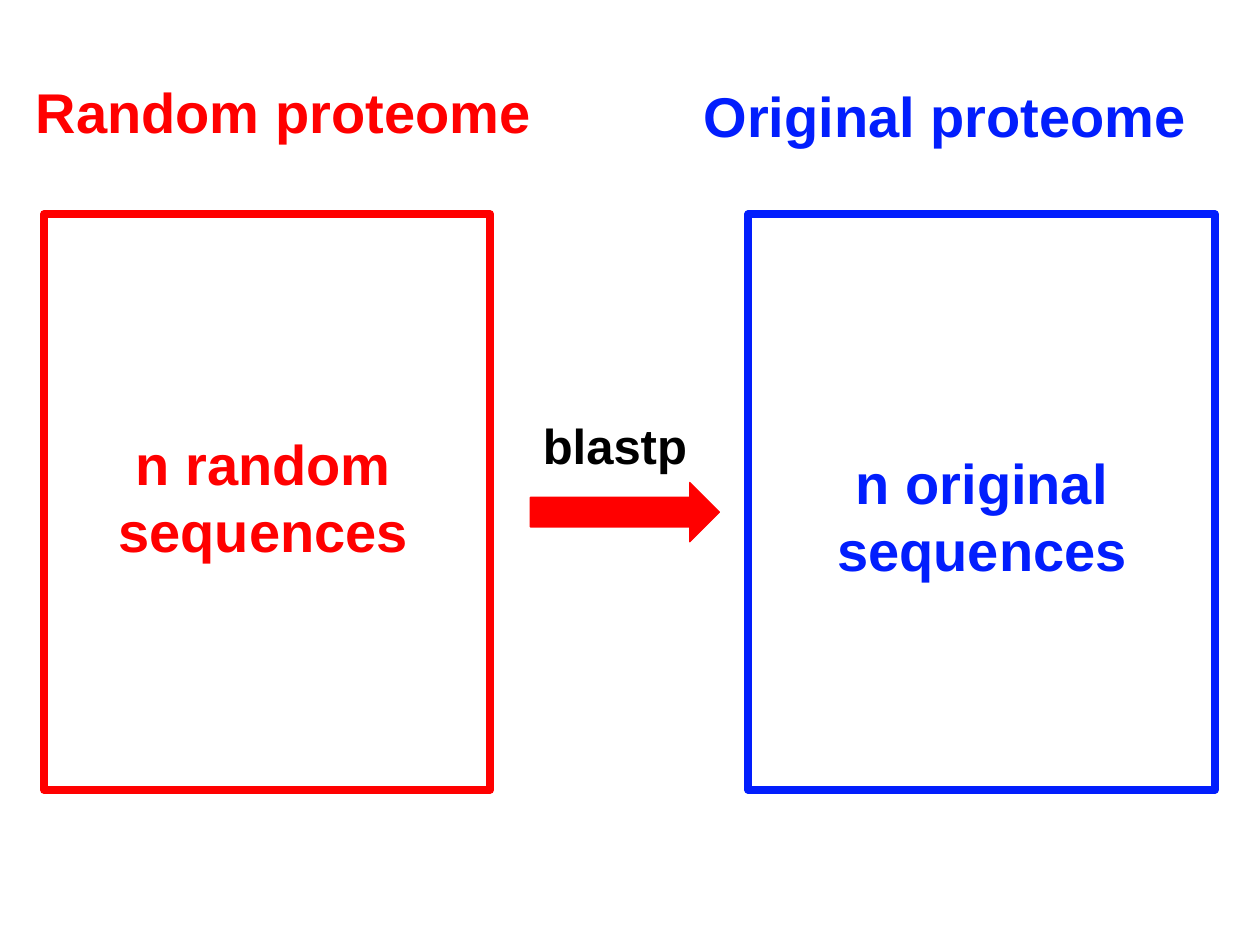
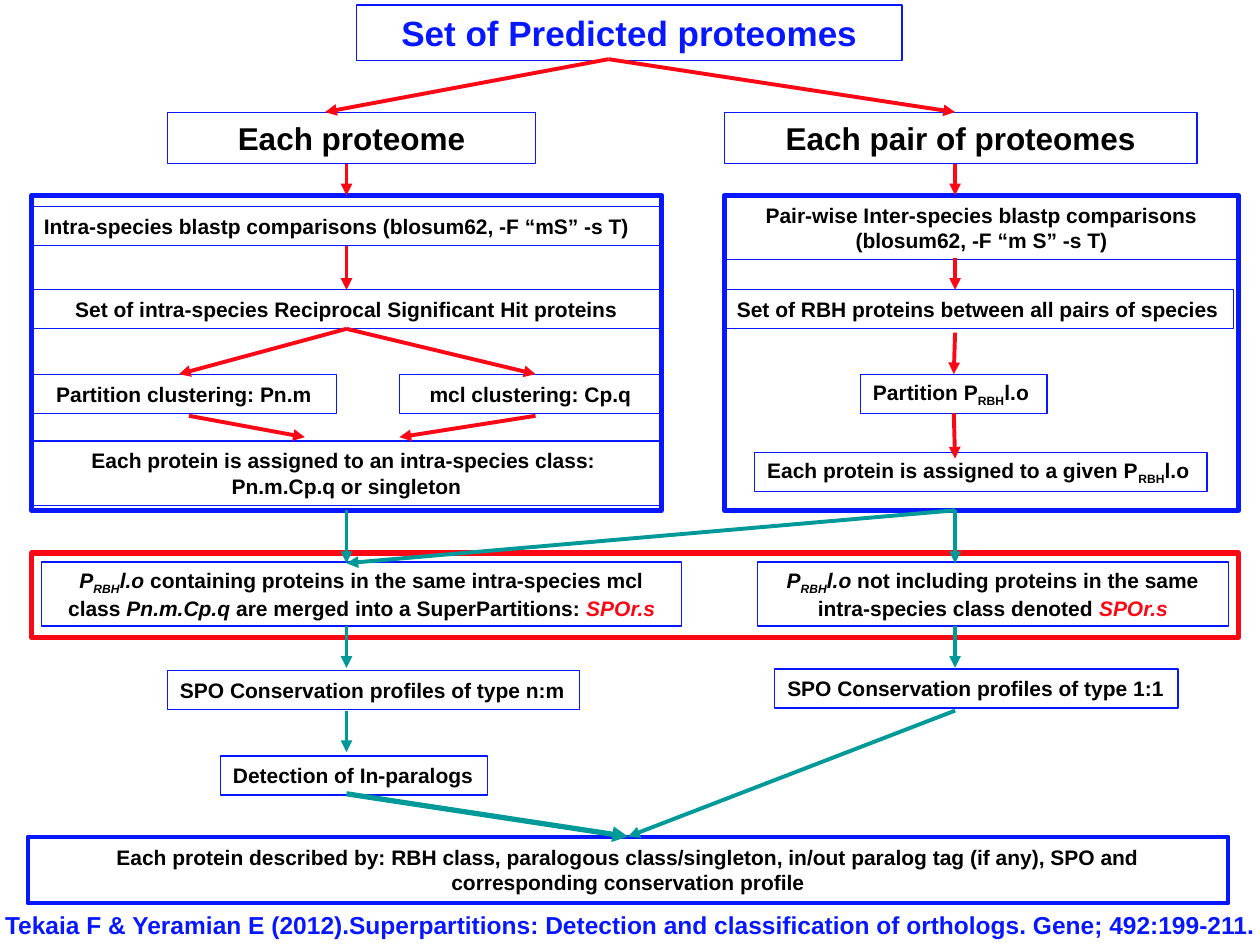
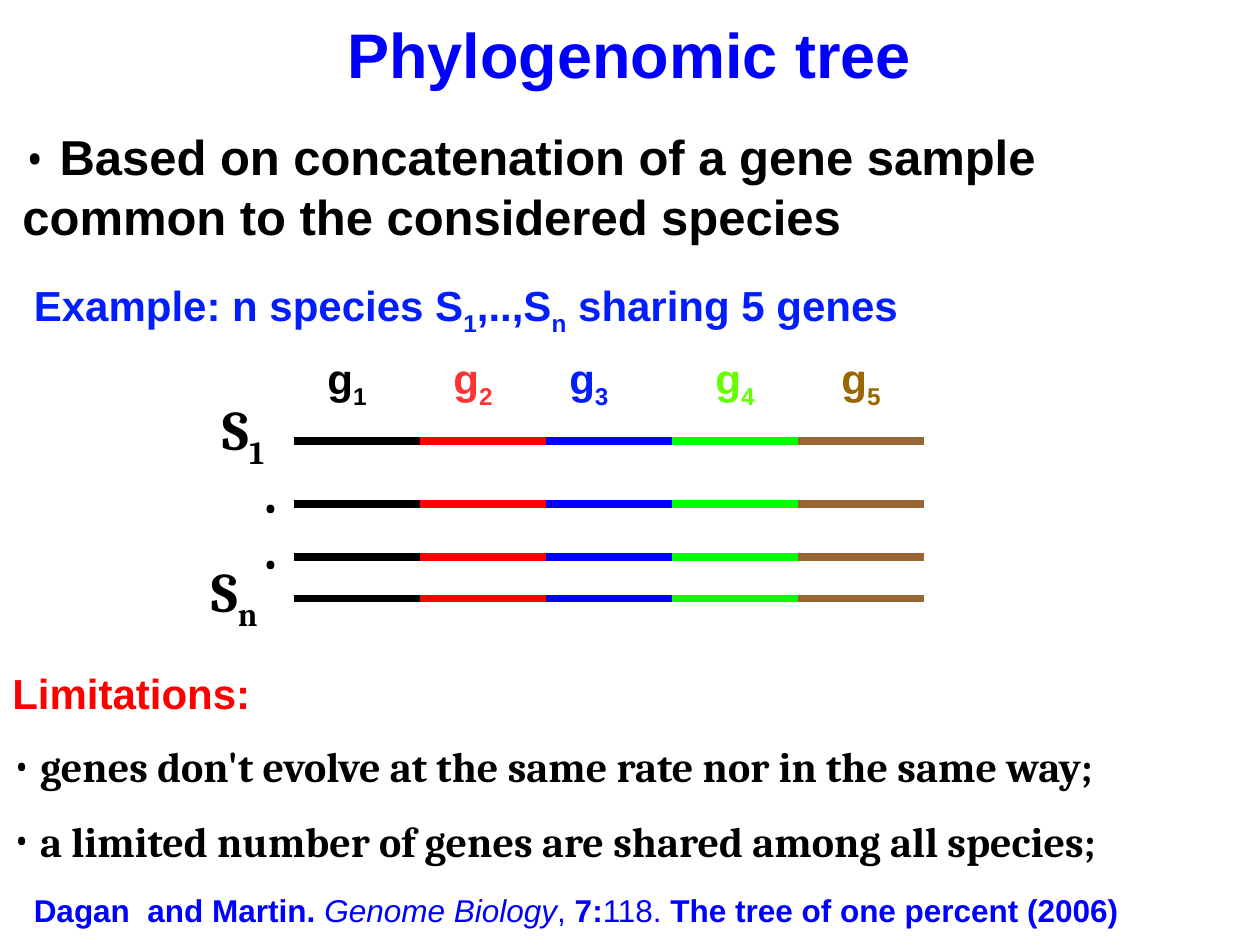
from dataclasses import dataclass

import pptx
import pptx.dml.color
import pptx.enum.shapes
import pptx.enum.text
import pptx.oxml.ns
import pptx.util
from lxml import etree

Inches = pptx.util.Inches
Pt = pptx.util.Pt
Align = pptx.enum.text.PP_ALIGN
Anchor = pptx.enum.text.MSO_ANCHOR
Preset = pptx.enum.shapes.MSO_SHAPE
qn = pptx.oxml.ns.qn

TITLE_ONLY, BLANK = 5, 6


@dataclass(frozen=True)
class Theme:
    sans: str = "Arial"
    serif: str = "Cambria"
    black: str = "000000"
    white: str = "FFFFFF"
    red: str = "FF0000"
    flow_red: str = "FB0817"
    royal: str = "021EFD"
    flow_blue: str = "0717FF"
    blue: str = "0000FF"
    teal: str = "009999"
    gene_lines: tuple = ("000000", "FF0000", "0000FF", "00FF00", "996633")
    gene_labels: tuple = ("000000", "FF3333", "021EFD", "66FF00", "996600")
    title: int = 36
    heading: int = 32
    statement: int = 28
    body: int = 24
    flow_title: int = 20
    branch: int = 18
    citation: int = 14
    step: int = 12
    thin: float = 0.75
    arrow: float = 2.25
    panel: float = 3
    thick: float = 4.5


THEME = Theme()
SUB = {"sub": True}


def rgb(value):
    return pptx.dml.color.RGBColor.from_string(value)


class Deck:
    """Holds the presentation, its theme and the slide being filled."""

    def __init__(self, theme):
        self.theme = theme
        self.presentation = pptx.Presentation()
        self.presentation.slide_width = Inches(10)
        self.presentation.slide_height = Inches(7.5)
        self.slide = None
        self.boxes = []

    def new_slide(self, layout):
        layouts = self.presentation.slide_layouts
        self.slide = self.presentation.slides.add_slide(layouts[layout])
        self.boxes = []

    def set_text(self, text_frame, content, size, color=None, font=None,
                 align=Align.CENTER, anchor=Anchor.TOP, wrap=True):
        """Fill a frame with a string or with (text, style) runs."""
        text_frame.word_wrap = wrap
        text_frame.auto_size = pptx.enum.text.MSO_AUTO_SIZE.NONE
        text_frame.vertical_anchor = anchor
        styles = []
        if isinstance(content, str):
            text_frame.text = content
        else:
            for text, style in content:
                text_frame.paragraphs[0].add_run().text = text
                styles.append(style)
        for paragraph in text_frame.paragraphs:
            paragraph.alignment = align
            for index, run in enumerate(paragraph.runs):
                style = styles[index] if styles else {}
                run.font.name = style.get("font", font or self.theme.sans)
                run.font.size = Pt(style.get("size", size))
                run.font.bold = style.get("bold", True)
                run.font.italic = style.get("italic", False)
                run.font.color.rgb = rgb(
                    style.get("color", color or self.theme.black))
                if style.get("sub"):
                    run._r.get_or_add_rPr().set("baseline", "-25000")

    def title(self, at, content, size, color):
        title = self.slide.shapes.title
        title.left, title.top, title.width, title.height = map(Inches, at)
        self.set_text(title.text_frame, content, size, color,
                      anchor=Anchor.MIDDLE)
        return title

    def text(self, at, content, size, color=None, **options):
        box = self.slide.shapes.add_textbox(*map(Inches, at))
        self.set_text(box.text_frame, content, size, color, **options)
        return box

    def bullet(self, at, content, size, font):
        box = self.text(at, content, size, font=font, align=Align.LEFT)
        properties = box.text_frame.paragraphs[0]._p.get_or_add_pPr()
        hanging = Inches(0.22)
        properties.set("marL", str(hanging))
        properties.set("indent", str(-hanging))
        etree.SubElement(properties, qn("a:buFont")).set("typeface", font)
        etree.SubElement(properties, qn("a:buChar")).set("char", "•")

    def shape(self, preset, at, line, width, fill=None):
        shape = self.slide.shapes.add_shape(preset, *map(Inches, at))
        shape.shadow.inherit = False
        if fill:
            shape.fill.solid()
            shape.fill.fore_color.rgb = rgb(fill)
        else:
            shape.fill.background()
        shape.line.color.rgb = rgb(line)
        shape.line.width = Pt(width)
        return shape

    def box(self, at, content=None, size=None, line=None, width=None,
            **options):
        """Add a flow chart rectangle that arrows can be joined to."""
        shape = self.shape(Preset.RECTANGLE, at, line or self.theme.flow_blue,
                           width or self.theme.thin)
        if content:
            self.set_text(shape.text_frame, content, size or self.theme.step,
                          anchor=Anchor.MIDDLE, **options)
        self.boxes.append((shape, at))

    def line(self, start, end, color, width):
        connector = self.slide.shapes.add_connector(
            pptx.enum.shapes.MSO_CONNECTOR.STRAIGHT,
            *map(Inches, (*start, *end)))
        connector.line.color.rgb = rgb(color)
        connector.line.width = Pt(width)
        etree.SubElement(connector._element.spPr, qn("a:effectLst"))
        return connector

    def side_at(self, point):
        """Find the box and side whose middle lies at the point, if any."""
        x, y = point
        for shape, (left, top, width, height) in self.boxes:
            middles = {0: (left + width / 2, top),
                       2: (left + width / 2, top + height)}
            for side, (side_x, side_y) in middles.items():
                if max(abs(side_x - x), abs(side_y - y)) < 0.035:
                    return shape, side
        return None

    def arrow(self, start, end, color, width=None):
        connector = self.line(start, end, color, width or self.theme.arrow)
        tail = etree.SubElement(connector.line._get_or_add_ln(),
                                qn("a:tailEnd"))
        tail.set("type", "triangle")
        for point, connect in ((start, connector.begin_connect),
                               (end, connector.end_connect)):
            found = self.side_at(point)
            if found:
                connect(*found)


def add_comparison(deck):
    theme = deck.theme
    deck.new_slide(BLANK)
    sides = (
        (theme.red, "Random proteome", (0, 0.57, 4.5, 0.63),
         (0.35, 1.7, 3.54, 4.57),
         "n random sequences", (0.75, 3.36, 2.68, 1.17)),
        (theme.royal, "Original proteome", (5.25, 0.6, 4.5, 0.63),
         (5.94, 1.7, 3.7, 4.57),
         "n original sequences", (6.18, 3.51, 3.23, 1.17)),
    )
    for color, heading, heading_at, frame_at, label, label_at in sides:
        deck.shape(Preset.RECTANGLE, frame_at, color, theme.thick, theme.white)
        deck.text(heading_at, heading, theme.heading, color)
        deck.text(label_at, label, theme.heading, color)
    deck.shape(Preset.RIGHT_ARROW, (4.21, 3.83, 1.5, 0.47), theme.red,
               theme.thin, theme.red)
    deck.text((4.17, 3.25, 1.42, 0.57), "blastp", theme.statement)


def add_flow_chart(deck):
    theme = deck.theme
    deck.new_slide(TITLE_ONLY)
    title = deck.title((2.83, 0.04, 4.33, 0.44), "Set of Predicted proteomes",
                       theme.flow_title, theme.flow_blue)
    title.line.color.rgb = rgb(theme.flow_blue)
    title.line.width = Pt(theme.thin)

    for at, line in (((0.25, 1.55, 5, 2.5), theme.flow_blue),
                     ((5.75, 1.55, 4.08, 2.5), theme.flow_blue),
                     ((0.25, 4.39, 9.58, 0.67), theme.flow_red)):
        deck.box(at, line=line, width=theme.panel)

    deck.box((1.33, 0.89, 2.92, 0.41), "Each proteome", theme.branch)
    deck.box((5.75, 0.89, 3.75, 0.41), "Each pair of proteomes", theme.branch)
    deck.box((0.25, 1.64, 5, 0.31),
             "Intra-species blastp comparisons (blosum62, -F “mS” -s T)",
             align=Align.LEFT)

    italic = {"italic": True}
    partition = [("P", italic), ("RBH", {**italic, **SUB}), ("l.o ", italic)]
    result = ("SPOr.s", {**italic, "color": theme.flow_red})
    wrapped_steps = (
        ((5.75, 1.55, 4.08, 0.51),
         "Pair-wise Inter-species blastp comparisons\n"
         "(blosum62, -F “m S” -s T)"),
        ((0.25, 2.3, 5, 0.31),
         "Set of intra-species Reciprocal Significant Hit proteins"),
        ((0.25, 2.97, 2.42, 0.31), "Partition clustering: Pn.m"),
        ((3.17, 2.97, 2.08, 0.31), "mcl clustering: Cp.q"),
        ((0.25, 3.5, 5, 0.51),
         "Each protein is assigned to an intra-species class: \n"
         "Pn.m.Cp.q or singleton"),
        ((0.33, 4.46, 5.08, 0.51), partition + [
            ("containing proteins in the same intra-species mcl class ", {}),
            ("Pn.m.Cp.q ", italic),
            ("are merged into a SuperPartitions: ", {}), result]),
        ((6.01, 4.46, 3.74, 0.51), partition + [
            ("not including proteins in the same intra-species class "
             "denoted ", {}), result]),
    )
    for at, content in wrapped_steps:
        deck.box(at, content)

    class_name = [("RBH", SUB), ("l.o", {})]
    one_line_steps = (
        ((5.75, 2.3, 4.04, 0.31),
         "Set of RBH proteins between all pairs of species"),
        ((6.83, 2.97, 1.48, 0.31), [("Partition P", {})] + class_name),
        ((5.99, 3.59, 3.59, 0.31),
         [("Each protein is assigned to a given P", {})] + class_name),
        ((1.33, 5.32, 3.27, 0.31), "SPO Conservation profiles of type n:m"),
        ((6.15, 5.31, 3.2, 0.31), "SPO Conservation profiles of type 1:1"),
        ((1.75, 6, 2.12, 0.31), "Detection of In-paralogs"),
    )
    for at, content in one_line_steps:
        deck.box(at, content, align=Align.LEFT, wrap=False)
    deck.box((0.22, 6.64, 9.53, 0.53),
             "Each protein described by: RBH class, paralogous "
             "class/singleton, in/out paralog tag (if any), SPO and "
             "corresponding conservation profile", width=theme.arrow)

    left, right = 2.75, 7.58
    down_arrows = (
        (left, theme.flow_red, ((1.3, 1.55), (1.97, 2.3))),
        (right, theme.flow_red,
         ((1.3, 1.55), (2.05, 2.3), (2.64, 2.97), (3.3, 3.64))),
        (left, theme.teal, ((4.05, 4.47), (4.97, 5.3), (5.64, 5.97))),
        (right, theme.teal, ((4.05, 4.47), (4.97, 5.3))),
    )
    for x, color, spans in down_arrows:
        for top, bottom in spans:
            deck.arrow((x, top), (x, bottom), color)
    for start, end in (((4.83, 0.47), (2.58, 0.89)),
                       ((4.83, 0.47), (right, 0.89)),
                       ((left, 2.64), (1.42, 2.97)),
                       ((left, 2.64), (4.25, 2.97)),
                       ((1.5, 3.3), (2.42, 3.47)),
                       ((4.25, 3.3), (3.17, 3.47))):
        deck.arrow(start, end, theme.flow_red)
    deck.arrow((right, 4.05), (left, 4.47), theme.teal)
    deck.arrow((left, 6.3), (5, 6.64), theme.teal, theme.panel)
    deck.arrow((right, 5.64), (5, 6.64), theme.teal)

    deck.text((-0.08, 7.17, 10.17, 0.33),
              "Tekaia F & Yeramian E (2012).Superpartitions: Detection and "
              "classification of orthologs. Gene; 492:199-211.",
              theme.citation, theme.flow_blue)


def add_phylogenomic_tree(deck):
    theme = deck.theme
    deck.new_slide(TITLE_ONLY)
    deck.title((0.08, 0.08, 9.83, 0.68), "Phylogenomic tree",
               theme.title, theme.blue)
    deck.text((0.08, 0.9, 9.83, 1.15), [
        ("• ", {"font": theme.serif, "size": theme.heading, "bold": False}),
        ("Based on concatenation of a gene sample common to the considered "
         "species", {})], theme.statement, align=Align.LEFT)
    deck.text((0.17, 2.17, 7.42, 0.5), [
        ("Example: n species S", {}), ("1", SUB), (",..,S", {}), ("n", SUB),
        (" sharing 5 genes", {})], theme.body, theme.royal, align=Align.LEFT)

    label_lefts = (2.5, 3.5, 4.42, 5.58, 6.58)
    for number, (left, color) in enumerate(
            zip(label_lefts, theme.gene_labels), start=1):
        deck.text((left, 2.75, 0.75, 0.5), [("g", {}), (str(number), SUB)],
                  theme.body, color, align=Align.LEFT)
    for y in (3.5, 4, 4.42, 4.75):
        for gene, color in enumerate(theme.gene_lines):
            left = 2.33 + gene
            deck.line((left, y), (left + 1, y), color, theme.thick)

    for at, content in (((1.67, 3.08, 0.75, 0.63), [("S", {}), ("1", SUB)]),
                        ((2, 3.58, 0.42, 0.63), "."),
                        ((2, 4.03, 0.42, 0.63), "."),
                        ((1.58, 4.37, 0.83, 0.63), [("S", {}), ("n", SUB)])):
        deck.text(at, content, theme.heading, font=theme.serif,
                  align=Align.LEFT)

    deck.text((0, 5.25, 5.5, 0.5), "Limitations:", theme.body, theme.red,
              align=Align.LEFT)
    for top, limitation in (
            (5.83, "genes don't evolve at the same rate nor in the same way;"),
            (6.42, "a limited number of genes are shared among all species;")):
        deck.bullet((0, top, 10, 0.5), limitation, theme.body, theme.serif)

    plain = {"bold": False}
    deck.text((0.17, 7.02, 9.5, 0.4), [
        ("Dagan  and Martin. ", {}),
        ("Genome Biology", {"bold": False, "italic": True}),
        (", ", plain), ("7:", {}), ("118. ", plain),
        ("The tree of one percent (2006)", {})],
        theme.branch, theme.blue, align=Align.LEFT)


def main():
    deck = Deck(THEME)
    add_comparison(deck)
    add_flow_chart(deck)
    add_phylogenomic_tree(deck)
    deck.presentation.save("out.pptx")


if __name__ == "__main__":
    main()
